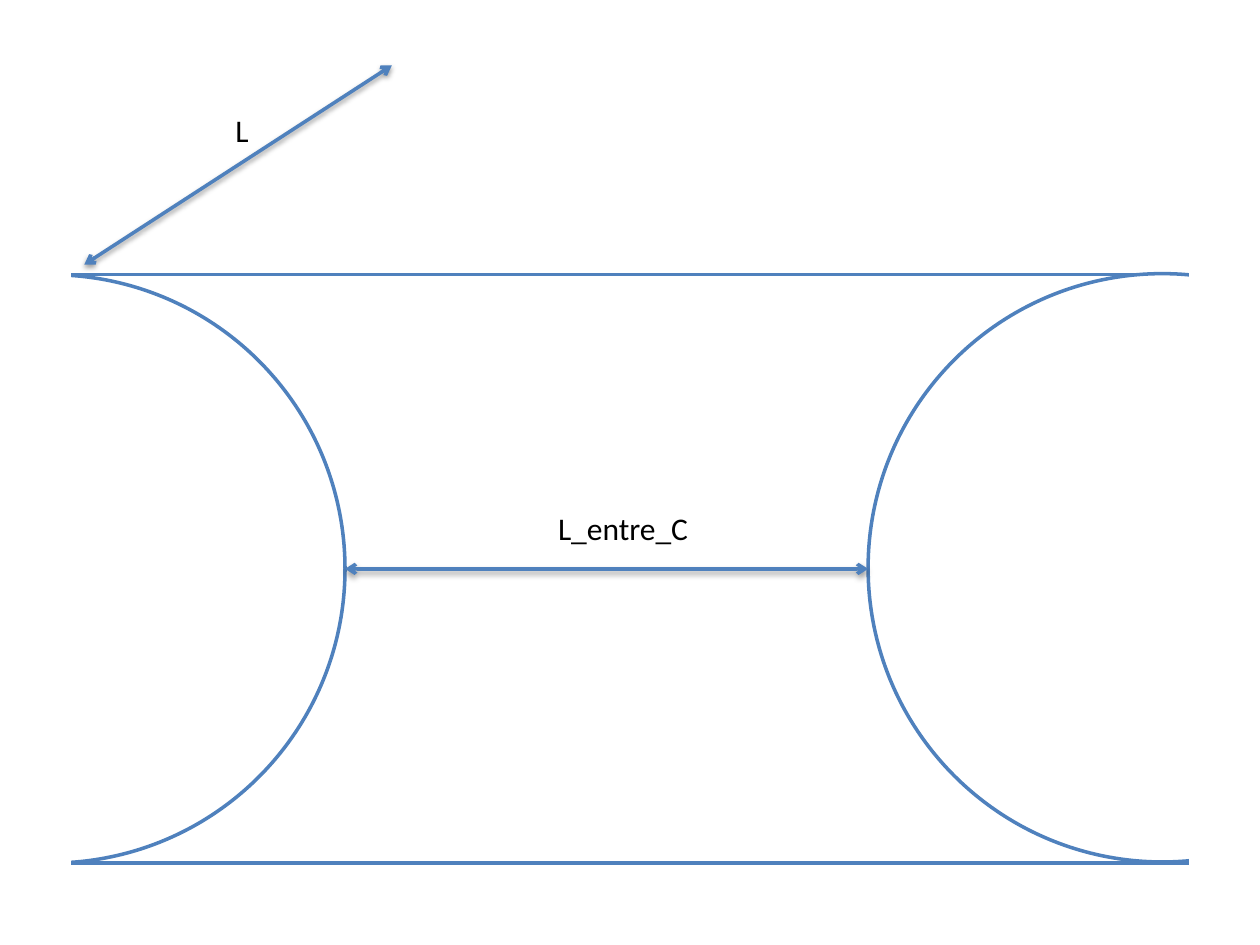
from lxml.etree import SubElement
from pptx import Presentation
from pptx.dml.color import RGBColor
from pptx.enum.shapes import MSO_CONNECTOR, MSO_SHAPE
from pptx.enum.text import MSO_AUTO_SIZE
from pptx.oxml.ns import qn
from pptx.util import Pt

BLUE, WHITE, BLACK = "4F81BD", "FFFFFF", "000000"
LINE_WIDTH = 2

# Plate and notches, in points
PLATE_LEFT, PLATE_TOP, PLATE_WIDTH = 39.6, 157, 640.8
DIAMETER = 336.2
PLATE_RIGHT = PLATE_LEFT + PLATE_WIDTH
LEFT_NOTCH, RIGHT_NOTCH = -139, 496.1
MASK_WIDTH, MASK_HEIGHT = 178.6, 402.5


def paint(color_format, hex_color):
    color_format.rgb = RGBColor.from_string(hex_color)


def add_outline(slide, kind, left, top, width, height, line_color=BLUE):
    outline = slide.shapes.add_shape(
        kind, Pt(left), Pt(top), Pt(width), Pt(height))
    outline.shadow.inherit = False
    outline.fill.solid()
    paint(outline.fill.fore_color, WHITE)
    paint(outline.line.color, line_color)
    outline.line.width = Pt(LINE_WIDTH)


def add_dimension(slide, x1, y1, x2, y2):
    """Double-headed arrow with a soft shadow below it."""
    dimension = slide.shapes.add_connector(
        MSO_CONNECTOR.STRAIGHT, Pt(x1), Pt(y1), Pt(x2), Pt(y2))
    paint(dimension.line.color, BLUE)
    dimension.line.width = Pt(LINE_WIDTH)
    properties = dimension._element.spPr
    stroke = properties.find(qn("a:ln"))
    for end in ("a:headEnd", "a:tailEnd"):
        SubElement(stroke, qn(end), type="arrow")
    effects = SubElement(properties, qn("a:effectLst"))
    shadow = SubElement(effects, qn("a:outerShdw"), blurRad=str(Pt(3.1)),
                        dist=str(Pt(1.6)), dir="5400000", rotWithShape="0")
    shade = SubElement(shadow, qn("a:srgbClr"), val=BLACK)
    SubElement(shade, qn("a:alpha"), val="38000")


def add_label(slide, text, left, top, width):
    label = slide.shapes.add_textbox(Pt(left), Pt(top), Pt(width), Pt(29))
    frame = label.text_frame
    frame.word_wrap = True
    frame.auto_size = MSO_AUTO_SIZE.SHAPE_TO_FIT_TEXT
    frame.text = text
    font = frame.paragraphs[0].runs[0].font
    font.name, font.size = "Calibri", Pt(18)
    paint(font.color, BLACK)


def main():
    deck = Presentation()
    deck.slide_width, deck.slide_height = Pt(720), Pt(540)
    slide = deck.slides.add_slide(deck.slide_layouts[6])

    # Plate with a round notch at each end
    add_outline(slide, MSO_SHAPE.RECTANGLE,
                PLATE_LEFT, PLATE_TOP, PLATE_WIDTH, DIAMETER)
    for left, top in ((LEFT_NOTCH, PLATE_TOP), (RIGHT_NOTCH, 156.4)):
        add_outline(slide, MSO_SHAPE.OVAL, left, top, DIAMETER, DIAMETER)

    # Dimensions and their labels
    add_dimension(slide, 48.2, 151.2, 223.9, 37.4)
    add_label(slide, "L", 127.4, 59.8, 67.7)
    middle = PLATE_TOP + DIAMETER / 2
    add_dimension(slide, LEFT_NOTCH + DIAMETER, middle, RIGHT_NOTCH, middle)
    add_label(slide, "L_entre_C", 311.8, 287.3, 96.5)

    # White masks that open the two ends
    for left, top in ((PLATE_LEFT - MASK_WIDTH, 111.6), (PLATE_RIGHT, 123.8)):
        add_outline(slide, MSO_SHAPE.RECTANGLE,
                    left, top, MASK_WIDTH, MASK_HEIGHT, WHITE)

    deck.save("out.pptx")


main()
